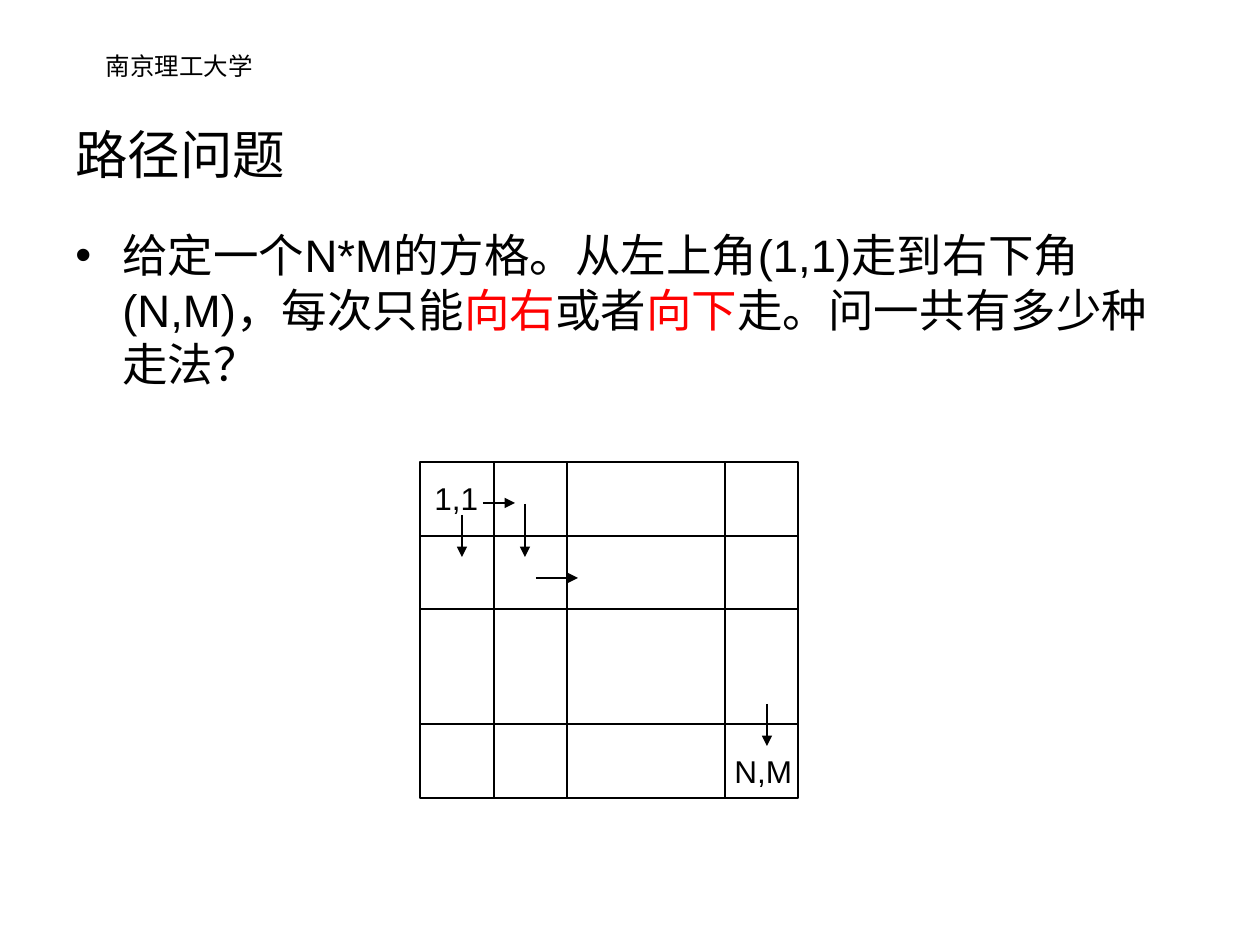
from lxml import etree
from pptx import Presentation
from pptx.dml.color import RGBColor
from pptx.enum.shapes import MSO_CONNECTOR, MSO_SHAPE
from pptx.enum.text import MSO_ANCHOR, PP_ALIGN
from pptx.oxml.ns import qn
from pptx.util import Emu, Pt

STRAIGHT = MSO_CONNECTOR.STRAIGHT
RECT = MSO_SHAPE.RECTANGLE
MIDDLE, TOP = MSO_ANCHOR.MIDDLE, MSO_ANCHOR.TOP
LEFT, CENTER = PP_ALIGN.LEFT, PP_ALIGN.CENTER
SCALE = 914400 // 126
BLACK, RED = "000000", "FF0000"
LINE_WIDTH = Pt(0.75)


def px(n):
    """Turn whole pixels into EMU."""
    return Emu(n * SCALE)


def color(value):
    """Turn a hex string into a colour."""
    return RGBColor.from_string(value)


def add_text(s, box, runs, size, align=LEFT, anchor=TOP, wrap=True):
    """Place a one-paragraph text box and return its paragraph."""
    tf = s.shapes.add_textbox(*map(px, box)).text_frame
    for name, value in {"word_wrap": wrap, "vertical_anchor": anchor}.items():
        setattr(tf, name, value)
    p = tf.paragraphs[0]
    p.alignment = align
    for text, fill in runs:
        r = p.add_run()
        r.text = text
        for name, value in {"name": "Arial", "size": Pt(size)}.items():
            setattr(r.font, name, value)
        r.font.color.rgb = color(fill)
    return p


def add_line(s, x1, y1, x2, y2, arrow=False):
    """Draw a straight line, with an arrowhead at its end if asked."""
    c = s.shapes.add_connector(STRAIGHT, *map(px, (x1, y1, x2, y2)))
    c.line.color.rgb = color(BLACK)
    c.line.width = LINE_WIDTH
    if arrow:
        etree.SubElement(c.line._get_or_add_ln(), qn("a:tailEnd"), type="triangle")
    etree.SubElement(c._element.spPr, qn("a:effectLst"))


def add_heading(s, x, y, w, h):
    """Place the school name and the title below it."""
    add_text(s, (x - 83, y, 399, 66), [("南京理工大学", BLACK)], 14, CENTER)
    add_text(s, (x, y + 29, w, h), [("路径问题", BLACK)], 30, anchor=MIDDLE)


def add_problem(s, x, y, w, h):
    """Place the bulleted problem statement."""
    runs = [
        ("给定一个N*M的方格。从左上角(1,1)走到右下角(N,M)，每次只能", BLACK),
        ("向右", RED),
        ("或者", BLACK),
        ("向下", RED),
        ("走。问一共有多少种走法？", BLACK),
    ]
    p = add_text(s, (x, y, w, h), runs, 26)
    pPr = p._p.get_or_add_pPr()
    indent = px(47)
    pPr.set("marL", str(indent))
    pPr.set("indent", str(-indent))
    etree.SubElement(pPr, qn("a:buFont"), typeface="Arial")
    etree.SubElement(pPr, qn("a:buChar"), char="•")


def add_grid(s, x, y, w, h):
    """Draw the path grid with its corner labels and step arrows."""
    sp = s.shapes.add_shape(RECT, *map(px, (x, y, w, h)))
    sp.shadow.inherit = False
    sp.fill.background()
    sp.line.color.rgb = color(BLACK)
    sp.line.width = LINE_WIDTH
    for dy in (74, 147, 262):
        add_line(s, x, y + dy, x + w, y + dy)
    for dx in (74, 147, 305):
        add_line(s, x + dx, y, x + dx, y + h)
    for text, dx, dy, width in (("1,1", 2, 11, 69), ("N,M", 302, 284, 83)):
        add_text(s, (x + dx, y + dy, width, 50), [(text, BLACK)], 18, wrap=False)
    steps = (
        (63, 41, 32, 0),
        (42, 53, 0, 42),
        (105, 42, 0, 53),
        (116, 116, 42, 0),
        (347, 242, 0, 42),
    )
    for dx, dy, right, down in steps:
        x1, y1 = x + dx, y + dy
        add_line(s, x1, y1, x1 + right, y1 + down, arrow=True)


def main():
    """Build and save the slide."""
    prs = Presentation()
    prs.slide_width, prs.slide_height = px(1260), px(945)
    s = prs.slides.add_slide(prs.slide_layouts[6])
    add_heading(s, 63, 45, 1134, 158)
    add_problem(s, 63, 221, 1134, 199)
    add_grid(s, 420, 462, 378, 336)
    prs.save("out.pptx")


if __name__ == "__main__":
    main()
